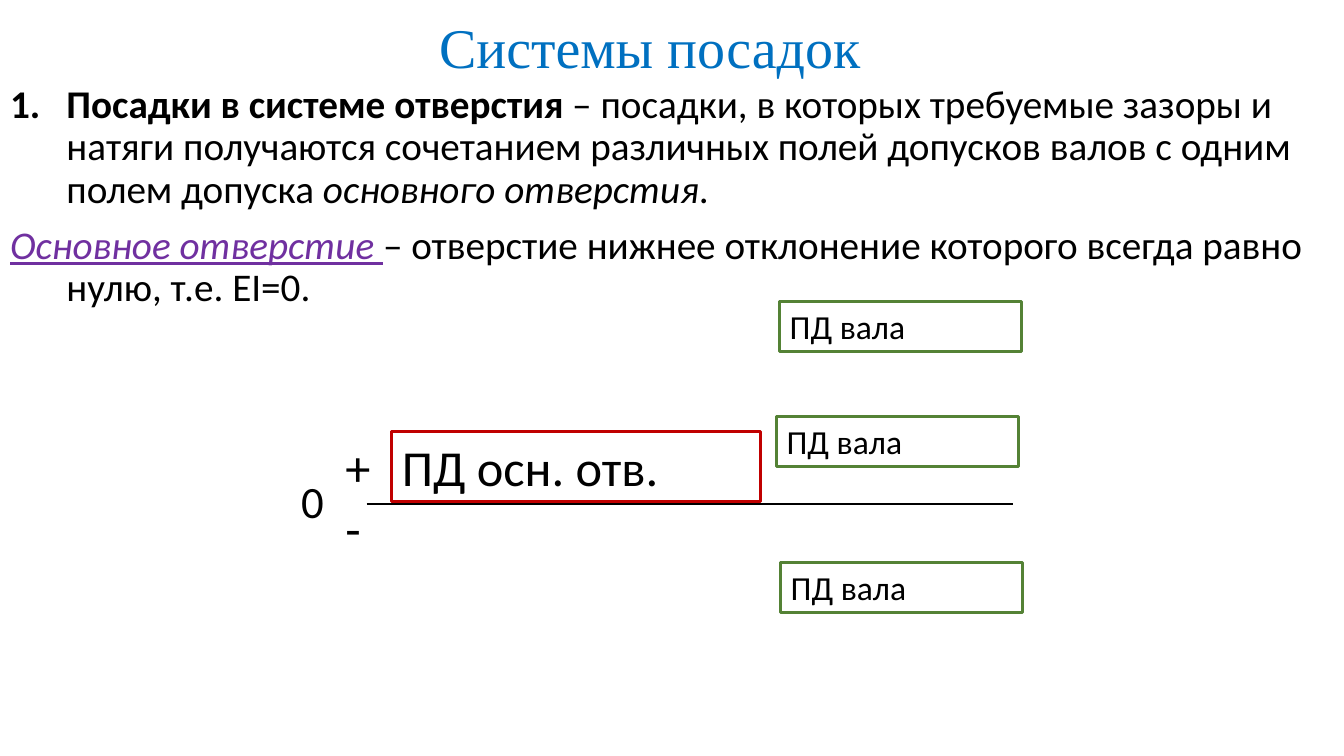
from lxml.etree import SubElement
from pptx import Presentation
from pptx.dml.color import RGBColor
from pptx.enum.shapes import MSO_CONNECTOR as Connector, MSO_SHAPE as Shape
from pptx.enum.text import MSO_ANCHOR as Anchor, MSO_AUTO_SIZE as AutoSize, PP_ALIGN as Align
from pptx.oxml.ns import qn
from pptx.util import Emu, Pt

PX = 9144
BLACK, BLUE, PURPLE, RED, GREEN = "000000", "0070C0", "7030A0", "C00000", "548235"

PAGE_SIZE = (1334, 750)
TITLE = "Системы посадок"
TITLE_AREA = (70, 12, 1150, 75)
BODY_AREA = (0, 79, 1308, 619)
HANG = 56
DEFINITIONS = [
    ("buAutoNum", [
        ("Посадки в системе отверстия", "bold"),
        (" – посадки, в которых требуемые зазоры и натяги получаются сочетанием "
         "различных полей допусков валов с одним полем допуска ", ""),
        ("основного отверстия", "italic"),
        (".", ""),
    ]),
    ("buNone", [
        ("Основное отверстие ", "term"),
        ("– отверстие нижнее отклонение которого всегда равно нулю, т.е. EI=0.", ""),
    ]),
]
ZERO_LINE = (364, 500, 1005, 500)
AXIS_LABELS = [
    (["0"], (289, 465, 78, 64), 32),
    (["+", "-"], (333, 428, 83, 130), 36),
]
SHAFT = "ПД вала"
SHAFT_SIZE = (240, 50)
SHAFT_CORNERS = [(775, 558), (771, 413), (774, 299)]
FIELDS = [("ПД осн. отв.", (389, 428, 366, 70), 36, RED, 2.25)]
FIELDS += [(SHAFT, corner + SHAFT_SIZE, 24, GREEN, 2) for corner in SHAFT_CORNERS]


def emu(lengths):
    return [Emu(length * PX) for length in lengths]


def color(value):
    return RGBColor.from_string(value)


def place(shape, area):
    shape.left, shape.top, shape.width, shape.height = emu(area)


def set_font(font, size, value=BLACK, name="Calibri"):
    font.size, font.name = Pt(size), name
    font.color.rgb = color(value)


def set_frame(frame, anchor=Anchor.TOP):
    frame.word_wrap = True
    frame.auto_size = AutoSize.NONE
    frame.vertical_anchor = anchor
    frame.margin_left, frame.margin_top, frame.margin_right, frame.margin_bottom = emu((10, 5, 10, 5))


def write_lines(shape, lines, size):
    frame = shape.text_frame
    set_frame(frame)
    frame.text = "\n".join(lines)
    for para in frame.paragraphs:
        para.alignment = Align.LEFT
        set_font(para.font, size)


def add_title(page):
    title = page.shapes.title
    place(title, TITLE_AREA)
    set_frame(title.text_frame, Anchor.MIDDLE)
    title.text_frame.text = TITLE
    para = title.text_frame.paragraphs[0]
    para.alignment, para.line_spacing = Align.CENTER, 0.9
    set_font(para.font, 40, BLUE, "Times New Roman")


def add_definitions(page):
    body = page.placeholders[1]
    place(body, BODY_AREA)
    frame = body.text_frame
    set_frame(frame)
    for index, (bullet, spans) in enumerate(DEFINITIONS):
        para = frame.add_paragraph() if index else frame.paragraphs[0]
        properties = para._p.get_or_add_pPr()
        properties.set("marL", str(HANG * PX))
        properties.set("indent", str(-HANG * PX))
        mark = SubElement(properties, qn("a:" + bullet))
        if bullet == "buAutoNum":
            mark.set("type", "arabicPeriod")
        para.line_spacing = 0.9
        para.space_before = Pt(10 if index else 0)
        set_font(para.font, 28)
        for text, style in spans:
            span = para.add_run()
            span.text = text
            if style == "bold":
                span.font.bold = True
            if style in ("italic", "term"):
                span.font.italic = True
            if style == "term":
                span.font.underline = True
                span.font.color.rgb = color(PURPLE)


def add_diagram(page):
    zero_line = page.shapes.add_connector(Connector.STRAIGHT, *emu(ZERO_LINE))
    zero_line.line.color.rgb = color(BLACK)
    zero_line.line.width = Pt(1.5)
    SubElement(zero_line._element.spPr, qn("a:effectLst"))
    for lines, area, size in AXIS_LABELS:
        write_lines(page.shapes.add_textbox(*emu(area)), lines, size)
    for text, area, size, outline, width in FIELDS:
        field = page.shapes.add_shape(Shape.RECTANGLE, *emu(area))
        field.shadow.inherit = False
        field.fill.background()
        field.line.color.rgb = color(outline)
        field.line.width = Pt(width)
        write_lines(field, [text], size)


def main():
    deck = Presentation()
    deck.slide_width, deck.slide_height = emu(PAGE_SIZE)
    page = deck.slides.add_slide(deck.slide_layouts[1])
    add_title(page)
    add_definitions(page)
    add_diagram(page)
    deck.save("out.pptx")


if __name__ == "__main__":
    main()
